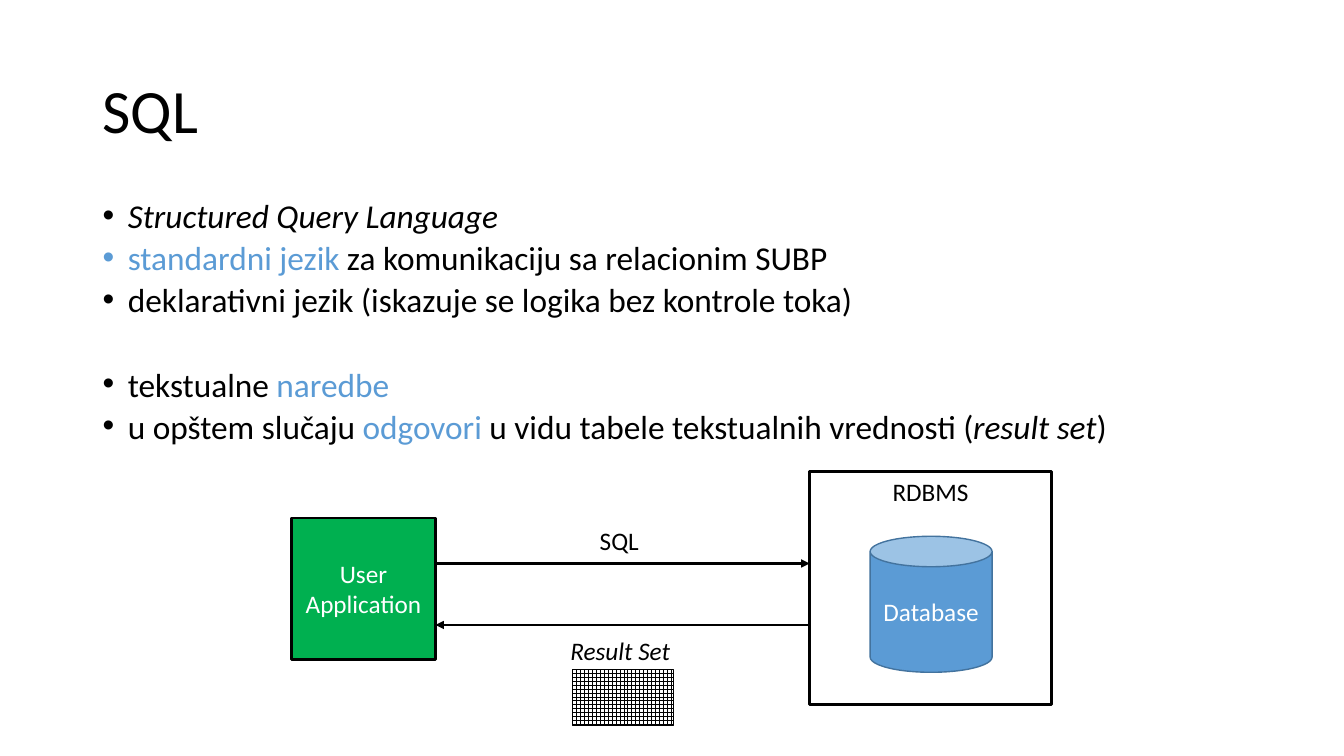
from lxml.etree import SubElement
from pptx import Presentation
from pptx.dml.color import RGBColor
from pptx.enum.dml import MSO_PATTERN
from pptx.enum.shapes import MSO_CONNECTOR, MSO_SHAPE
from pptx.enum.text import MSO_ANCHOR, PP_ALIGN
from pptx.oxml.ns import qn
from pptx.util import Inches, Pt

BLACK, WHITE, BLUE, NAVY, GREEN = "000000", "FFFFFF", "5B9BD5", "43739E", "00B050"
FONT = "Calibri"
BODY_SIZE, LABEL_SIZE = 23.8, 18

TITLE = ("SQL", (0.92, 0.4, 11.5, 1.45))
BULLETS_AT = (0.92, 2, 11.5, 2.55)
BULLETS = [
    (10, [("Structured Query Language", BLACK, True)]),
    (10, [("standardni jezik ", BLUE, False),
          ("za komunikaciju sa relacionim SUBP", BLACK, False)]),
    (10, [("deklarativni jezik (iskazuje se logika bez kontrole toka)", BLACK, False)]),
    (40, [("tekstualne ", BLACK, False), ("naredbe", BLUE, False)]),
    (10, [("u opštem slučaju ", BLACK, False), ("odgovori ", BLUE, False),
          ("u vidu tabele tekstualnih vrednosti (", BLACK, False),
          ("result set", BLACK, True), (")", BLACK, False)]),
]
APPLICATION = (2.89, 5.14, 1.43, 1.4)
DATABASE = (8.63, 5.32, 1.21, 1.35)
SYSTEM = (8.03, 4.68, 2.4, 2.31)
RESULT_TABLE = (5.68, 6.64, 1, 0.56)
SHAPES = [
    (MSO_SHAPE.RECTANGLE, APPLICATION, "User\nApplication", GREEN, BLACK, 2, WHITE, MSO_ANCHOR.MIDDLE),
    (MSO_SHAPE.RECTANGLE, SYSTEM, "RDBMS", None, BLACK, 2, BLACK, MSO_ANCHOR.TOP),
    (MSO_SHAPE.CAN, DATABASE, "Database", BLUE, NAVY, 1, WHITE, MSO_ANCHOR.MIDDLE),
]
LABELS = [
    ("SQL", (5.85, 5.16, 0.66, 0.4), False),
    ("Result Set", (5.56, 6.25, 1.23, 0.4), True),
]
APPLICATION_EDGE = APPLICATION[0] + APPLICATION[2]
SYSTEM_EDGE = SYSTEM[0]
ARROWS = [(APPLICATION_EDGE, SYSTEM_EDGE, 5.59), (SYSTEM_EDGE, APPLICATION_EDGE, 6.2)]


def color(code):
    return RGBColor.from_string(code)


def style(span, size, code, italic=False):
    span.font.name = FONT
    span.font.size = Pt(size)
    span.font.italic = italic
    span.font.color.rgb = color(code)


def add_text(page, text, place, size, italic=False):
    box = page.shapes.add_textbox(*map(Inches, place))
    box.text_frame.word_wrap = True
    box.text_frame.text = text
    for para in box.text_frame.paragraphs:
        for span in para.runs:
            style(span, size, BLACK, italic)
    return box


def add_bullets(page):
    frame = page.shapes.add_textbox(*map(Inches, BULLETS_AT)).text_frame
    frame.word_wrap = True
    for index, (space, pieces) in enumerate(BULLETS):
        para = frame.add_paragraph() if index else frame.paragraphs[0]
        para.line_spacing = 0.7
        para.space_before = Pt(space)
        properties = para._p.get_or_add_pPr()
        properties.set("marL", str(Inches(0.25)))
        properties.set("indent", str(-Inches(0.25)))
        SubElement(properties, qn("a:buFont"), typeface="Arial")
        SubElement(properties, qn("a:buChar"), char="•")
        for text, code, italic in pieces:
            span = para.add_run()
            span.text = text
            style(span, BODY_SIZE, code, italic)


def add_box(page, kind, place, line, width):
    box = page.shapes.add_shape(kind, *map(Inches, place))
    box.shadow.inherit = False
    box.line.color.rgb = color(line)
    box.line.width = Pt(width)
    return box


def add_labelled_box(page, kind, place, text, fill, line, width, ink, anchor):
    box = add_box(page, kind, place, line, width)
    if fill:
        box.fill.solid()
        box.fill.fore_color.rgb = color(fill)
    else:
        box.fill.background()
    frame = box.text_frame
    frame.text = text
    frame.vertical_anchor = anchor
    for para in frame.paragraphs:
        para.alignment = PP_ALIGN.CENTER
        for span in para.runs:
            style(span, LABEL_SIZE, ink)


def add_arrow(page, start, end, height):
    arrow = page.shapes.add_connector(
        MSO_CONNECTOR.STRAIGHT, Inches(start), Inches(height), Inches(end), Inches(height))
    arrow.line.color.rgb = color(BLACK)
    arrow.line.width = Pt(2)
    SubElement(arrow.line._get_or_add_ln(), qn("a:tailEnd"), type="triangle")
    SubElement(arrow._element.spPr, qn("a:effectLst"))


def main():
    deck = Presentation()
    deck.slide_width, deck.slide_height = Inches(13.33), Inches(7.5)
    page = deck.slides.add_slide(deck.slide_layouts[6])

    title = add_text(page, *TITLE, 44)
    title.text_frame.vertical_anchor = MSO_ANCHOR.MIDDLE
    title.text_frame.paragraphs[0].line_spacing = 0.9
    add_bullets(page)

    for shape in SHAPES:
        add_labelled_box(page, *shape)
    for arrow in ARROWS:
        add_arrow(page, *arrow)

    table = add_box(page, MSO_SHAPE.RECTANGLE, RESULT_TABLE, BLACK, 1)
    table.fill.patterned()
    table.fill.pattern = MSO_PATTERN.LARGE_GRID
    table.fill.fore_color.rgb = color(BLACK)
    table.fill.back_color.rgb = color(WHITE)

    for text, place, italic in LABELS:
        add_text(page, text, place, LABEL_SIZE, italic)
    deck.save("out.pptx")


if __name__ == "__main__":
    main()
